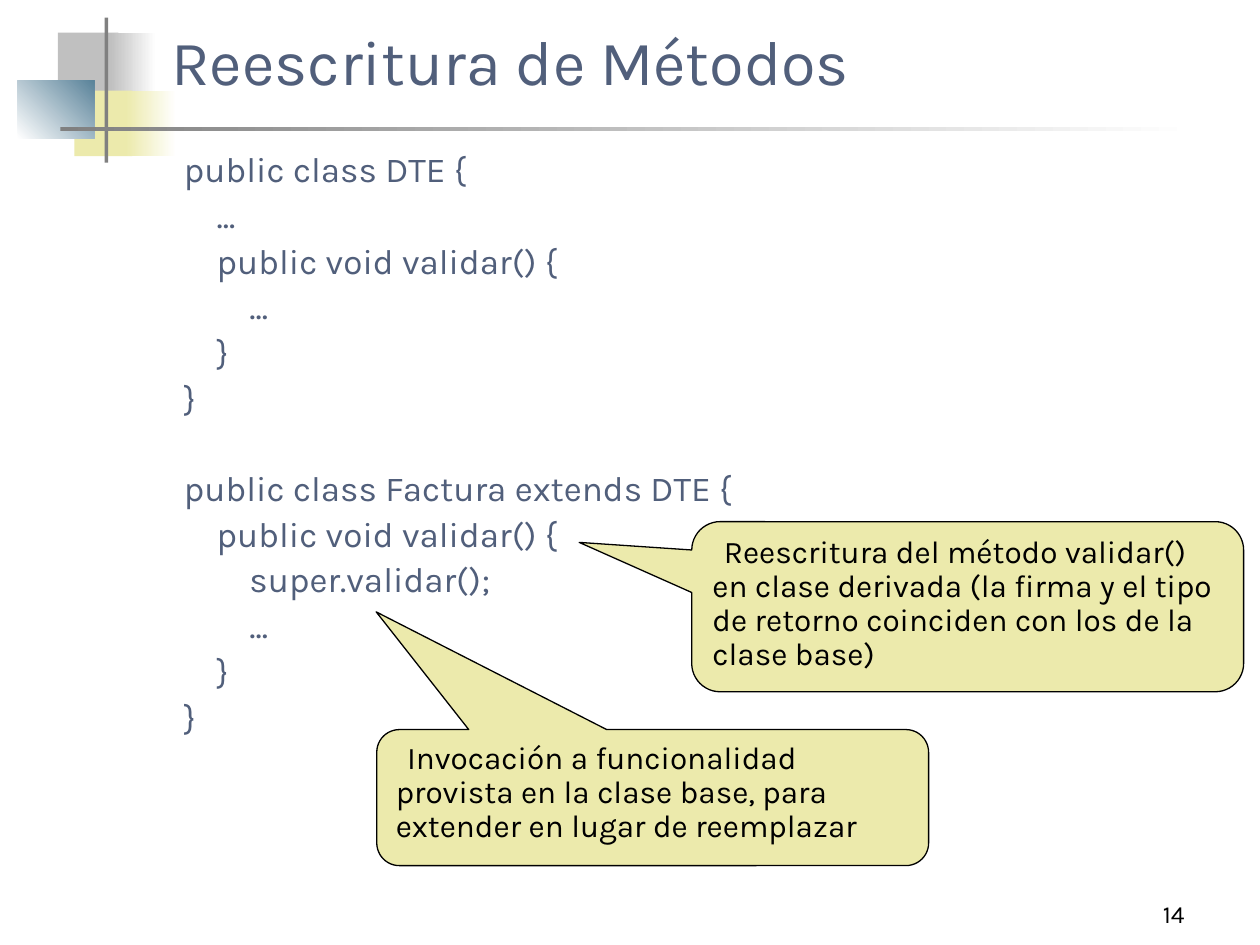
from pptx import Presentation
from pptx.dml.color import RGBColor
from pptx.enum.shapes import MSO_SHAPE as Shape
from pptx.enum.text import MSO_ANCHOR as Anchor, MSO_AUTO_SIZE as AutoSize, PP_ALIGN as Align
from pptx.oxml.ns import qn
from pptx.util import Inches, Pt
from lxml import etree

FONT = "Karla"
SLATE, YELLOW, GRAY, SILVER = "515F7B", "ECEAAC", "808080", "C0C0C0"
BLUE, WHITE, BLACK = "5A839A", "FFFFFF", "000000"
INDENT = 0.26

DECORATION = [
    ((0.46, 0.26, 0.48, 0.52), [SILVER], 0),
    ((0.88, 0.26, 0.36, 0.52), [SILVER, WHITE], 0),
    ((0.59, 0.72, 0.46, 0.52), [YELLOW], 0),
    ((1, 0.72, 0.4, 0.52), [YELLOW, WHITE], 0),
    ((0.14, 0.64, 0.61, 0.46), [WHITE, BLUE], 45),
    ((0.83, 0.14, 0.03, 1.15), [GRAY], 0),
    ((0.48, 1.01, 9, 0.03), [GRAY, WHITE], 0),
]

CLASSES = [
    [(0, "public class DTE {"), (1, "..."), (1, "public void validar() {"),
     (2, "..."), (1, "}"), (0, "}")],
    [(0, "public class Factura extends DTE {"), (1, "public void validar() {"),
     (2, "super.validar();"), (2, "..."), (1, "}"), (0, "}")],
]

CALLOUTS = [
    ((5.49, 4.14, 4.38, 1.35), (-0.704, -0.378),
     "Reescritura del método validar() en clase derivada "
     "(la firma y el tipo de retorno coinciden con los de la clase base)"),
    ((2.99, 5.79, 4.38, 1.08), (-0.501, -1.365),
     "Invocación a funcionalidad provista en la clase base, "
     "para extender en lugar de reemplazar"),
]


def color(value):
    return RGBColor.from_string(value)


def place(shape, box):
    shape.left, shape.top, shape.width, shape.height = map(Inches, box)


def prepare_frame(shape, anchor):
    frame = shape.text_frame
    frame.word_wrap = True
    frame.auto_size = AutoSize.NONE
    frame.vertical_anchor = anchor
    return frame


def write(paragraph, text, size, ink, align=Align.LEFT):
    paragraph.text = text
    paragraph.alignment = align
    paragraph.font.name = FONT
    paragraph.font.size = Pt(size)
    paragraph.font.color.rgb = color(ink)


def set_indent(paragraph, left, first):
    properties = paragraph._p.get_or_add_pPr()
    properties.set("marL", str(Inches(left)))
    properties.set("indent", str(Inches(first)))
    return properties


def add_block(slide, box, colors, angle):
    shape = slide.shapes.add_shape(Shape.RECTANGLE, *map(Inches, box))
    shape.shadow.inherit = False
    shape.line.fill.background()
    if len(colors) == 1:
        shape.fill.solid()
        shape.fill.fore_color.rgb = color(colors[0])
        return
    shape.fill.gradient()
    shape.fill.gradient_angle = angle
    for stop, value in zip(shape.fill.gradient_stops, colors):
        stop.color.rgb = color(value)


def fill_title(slide, text):
    title = slide.shapes.title
    place(title, (1.26, 0.15, 8.52, 0.68))
    write(prepare_frame(title, Anchor.BOTTOM).paragraphs[0], text, 36, SLATE)


def fill_code(slide):
    body = slide.placeholders[1]
    place(body, (1.36, 1.16, 7.58, 4.91))
    frame = prepare_frame(body, Anchor.TOP)
    paragraph = frame.paragraphs[0]
    for class_number, lines in enumerate(CLASSES):
        for line_number, (level, text) in enumerate(lines):
            if class_number or line_number:
                paragraph = frame.add_paragraph()
            write(paragraph, text, 20, SLATE)
            paragraph.line_spacing = 0.9
            paragraph.space_before = Pt(30.1 if class_number and not line_number else 4.5)
            properties = set_indent(paragraph, level * INDENT, 0)
            etree.SubElement(properties, qn("a:buNone"))


def add_callout(slide, box, tip, text):
    shape = slide.shapes.add_shape(Shape.ROUNDED_RECTANGULAR_CALLOUT, *map(Inches, box))
    shape.shadow.inherit = False
    shape.adjustments[0], shape.adjustments[1] = tip
    shape.fill.solid()
    shape.fill.fore_color.rgb = color(YELLOW)
    shape.line.color.rgb = color(BLACK)
    shape.line.width = Pt(0.75)
    paragraph = prepare_frame(shape, Anchor.TOP).paragraphs[0]
    write(paragraph, text, 18, BLACK)
    paragraph.line_spacing = 0.9
    set_indent(paragraph, 0, 0.09)


def add_page_number(slide, text):
    box = slide.shapes.add_textbox(*map(Inches, (7.42, 6.92, 2.08, 0.5)))
    write(prepare_frame(box, Anchor.BOTTOM).paragraphs[0], text, 14, BLACK, Align.RIGHT)


def main():
    presentation = Presentation()
    presentation.slide_width, presentation.slide_height = Inches(10), Inches(7.5)
    slide = presentation.slides.add_slide(presentation.slide_layouts[1])
    for box, colors, angle in DECORATION:
        add_block(slide, box, colors, angle)
    fill_title(slide, "Reescritura de Métodos")
    fill_code(slide)
    for box, tip, text in CALLOUTS:
        add_callout(slide, box, tip, text)
    add_page_number(slide, "14")
    presentation.save("out.pptx")


main()
